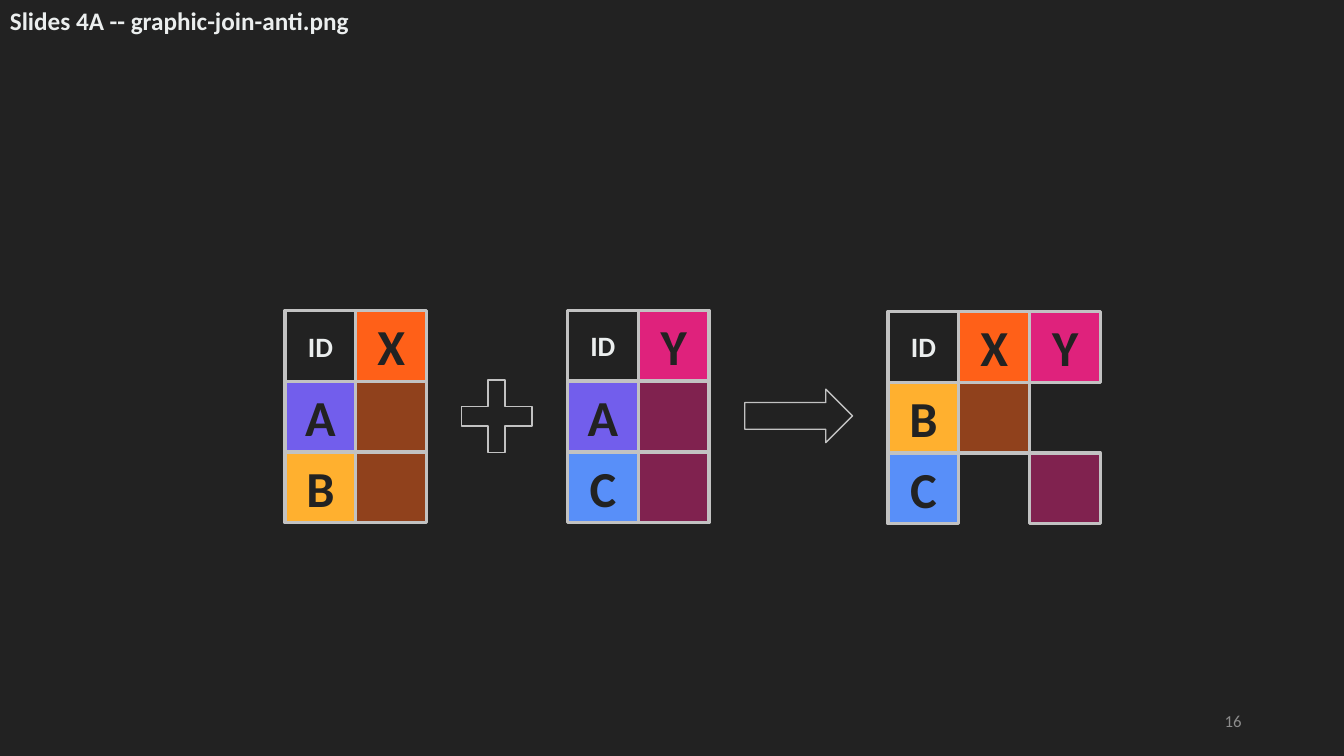
"""Build a slide that shows two small tables being joined into a third."""
from lxml import etree
from pptx import Presentation
from pptx.dml.color import RGBColor
from pptx.enum import shapes, text
from pptx.oxml.ns import qn
from pptx.util import Pt

BACKGROUND = RGBColor(0x22, 0x22, 0x22)
LIGHT = RGBColor(0xEB, 0xEE, 0xEE)
GREY = RGBColor(0x8C, 0x8C, 0x8C)
OUTLINE = RGBColor(0xC2, 0xC2, 0xC2)
ORANGE = RGBColor(0xFF, 0x60, 0x18)
PINK = RGBColor(0xDF, 0x22, 0x7C)
PURPLE = RGBColor(0x72, 0x5E, 0xEC)
YELLOW = RGBColor(0xFF, 0xB0, 0x2F)
BLUE = RGBColor(0x58, 0x8F, 0xF9)

FONT = "Calibri"
CELL = 50.6
KEY_COLORS = {"ID": BACKGROUND, "A": PURPLE, "B": YELLOW, "C": BLUE}
VALUE_COLORS = {"X": ORANGE, "Y": PINK}


def write(shape, content, size, color, bold=False, align=text.PP_ALIGN.LEFT,
          anchor=text.MSO_ANCHOR.TOP):
    """Put one formatted line of text into a shape."""
    frame = shape.text_frame
    frame.word_wrap = True
    frame.vertical_anchor = anchor
    paragraph = frame.paragraphs[0]
    paragraph.alignment = align
    run = paragraph.add_run()
    run.text = content
    run.font.name = FONT
    run.font.size = Pt(size)
    run.font.bold = bold
    run.font.color.rgb = color


def add_outlined(container, kind, box, color, line_width):
    """Add a filled preset shape with the common grey outline."""
    shape = container.shapes.add_shape(kind, *map(Pt, box))
    shape.shadow.inherit = False
    shape.fill.solid()
    shape.fill.fore_color.rgb = color
    shape.line.color.rgb = OUTLINE
    shape.line.width = Pt(line_width)
    return shape


def add_cell(group, left, top, color, label=None):
    """Add a labelled cell, or a half transparent one without a label."""
    box = (left, top, CELL, CELL)
    cell = add_outlined(group, shapes.MSO_SHAPE.RECTANGLE, box, color, 2.25)
    if label:
        is_id = label == "ID"
        write(cell, label, 20 if is_id else 36, LIGHT if is_id else BACKGROUND,
              bold=True, align=text.PP_ALIGN.CENTER, anchor=text.MSO_ANCHOR.MIDDLE)
    else:
        fill_color = cell._element.spPr.find(qn("a:solidFill")).find(qn("a:srgbClr"))
        etree.SubElement(fill_color, qn("a:alpha"), val="50000")


def add_data_table(slide, left, top, columns, rows):
    """Draw a grid of cells; each row has a key and the columns it has values in."""
    group = slide.shapes.add_group_shape()
    for row_index, (key, filled) in enumerate([("ID", columns), *rows]):
        row_top = top + row_index * CELL
        add_cell(group, left, row_top, KEY_COLORS[key], key)
        for name in filled:
            column_left = left + (columns.index(name) + 1) * CELL
            label = name if row_index == 0 else None
            add_cell(group, column_left, row_top, VALUE_COLORS[name], label)


def add_operators(slide, plus_box, arrow_box):
    """Draw the plus sign and the arrow between the tables."""
    plus = add_outlined(slide, shapes.MSO_SHAPE.CROSS, plus_box, BACKGROUND, 1)
    plus.adjustments[0] = 0.377
    add_outlined(slide, shapes.MSO_SHAPE.RIGHT_ARROW, arrow_box, BACKGROUND, 1)


def add_label(slide, box, content, size, color, **text_format):
    """Add a text box with one line of text."""
    label = slide.shapes.add_textbox(*map(Pt, box))
    write(label, content, size, color, **text_format)


def build_join_slide(presentation):
    """Place the labels, the three tables and the operators on a slide."""
    slide = presentation.slides.add_slide(presentation.slide_layouts[6])
    slide.background.fill.solid()
    slide.background.fill.fore_color.rgb = BACKGROUND
    add_label(slide, (678, 500.5, 216, 28.8), "16", 12, GREY,
              align=text.PP_ALIGN.RIGHT, anchor=text.MSO_ANCHOR.MIDDLE)
    add_label(slide, (0, 0, 452, 29), "Slides 4A -- graphic-join-anti.png", 18,
              LIGHT, bold=True)
    add_data_table(slide, 634.3, 222.4, "XY", [("B", "X"), ("C", "Y")])
    add_data_table(slide, 203.6, 221.7, "X", [("A", "X"), ("B", "X")])
    add_data_table(slide, 405.3, 221.6, "Y", [("A", "Y"), ("C", "Y")])
    add_operators(slide, (329.5, 271.4, 50.4, 51.8), (532, 278, 77, 38.2))


def main():
    """Create the presentation and save it."""
    presentation = Presentation()
    presentation.slide_width = Pt(960)
    presentation.slide_height = Pt(540)
    build_join_slide(presentation)
    presentation.save("out.pptx")


if __name__ == "__main__":
    main()
